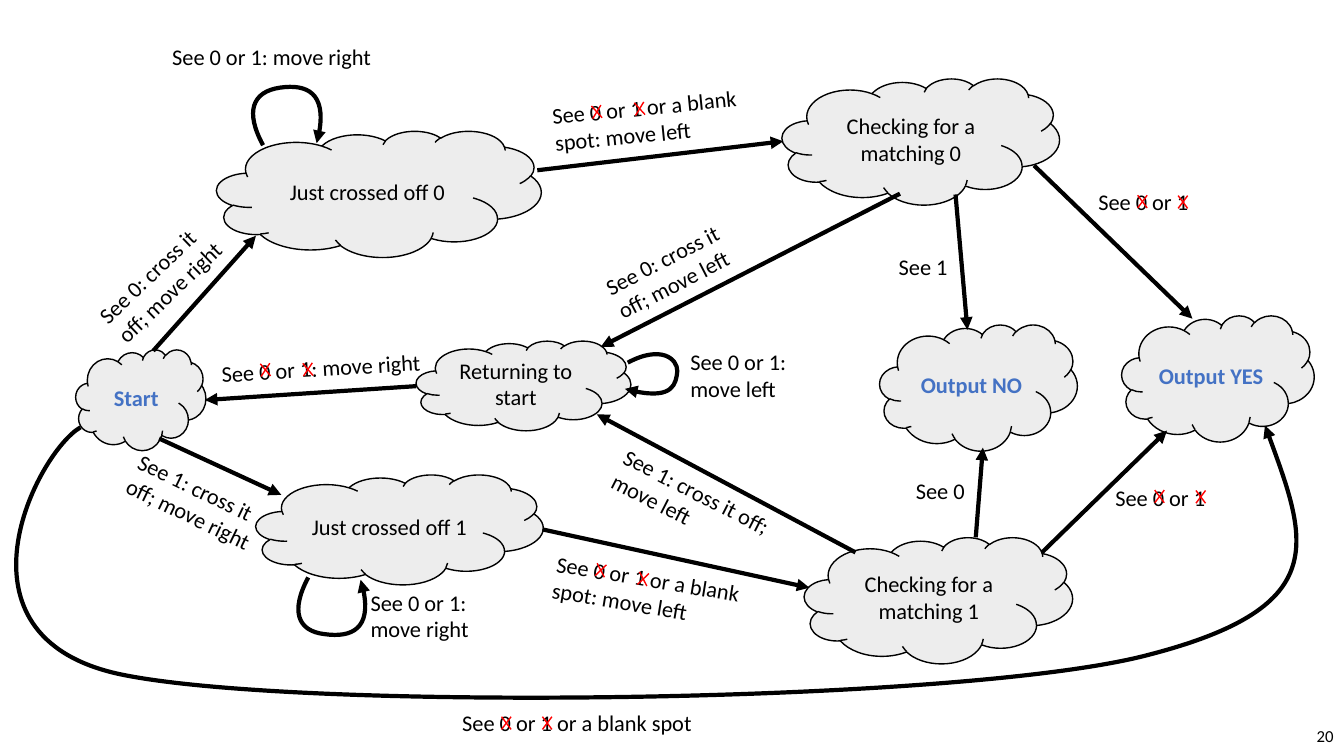
import math
from dataclasses import dataclass

from lxml import etree
from pptx import Presentation
from pptx import util as u
from pptx.dml.color import RGBColor
from pptx.enum import shapes, text
from pptx.oxml.ns import qn

Point = tuple[float, float]


@dataclass(frozen=True)
class Theme:
    font: str = "Calibri"
    ink: RGBColor = RGBColor(0, 0, 0)
    accent: RGBColor = RGBColor(0x44, 0x72, 0xC4)
    cloud: RGBColor = RGBColor(0xED, 0xED, 0xED)
    cross: RGBColor = RGBColor(0xFF, 0, 0)
    body_size: int = 16
    number_size: int = 12
    thin: int = 1
    thick: int = 3


@dataclass(frozen=True)
class State:
    name: str
    left: float
    top: float
    width: float
    height: float
    terminal: bool = False


@dataclass(frozen=True)
class Arrow:
    start: Point
    end: Point


@dataclass(frozen=True)
class Curve:
    points: tuple[Point, ...]


@dataclass(frozen=True)
class Label:
    words: str
    left: float
    top: float
    width: float
    height: float
    rotation: float = 0
    crosses: tuple[Point, ...] = ()


THEME = Theme()
ONE_LINE, TWO_LINES = 0.94, 1.63
CROSS_WIDTH, CROSS_HEIGHT = 0.24, 0.32
CURVE_STEPS = 40

STATES = [
    State("Just crossed off 0", 5.46, 3.3, 8.18, 3.18),
    State("Start", 1.91, 8.81, 3.28, 2.54, True),
    State("Just crossed off 1", 6.45, 11.96, 7.24, 2.77),
    State("Checking for a matching 0", 19.71, 1.98, 6.99, 3.18),
    State("Checking for a matching 1", 20.27, 13.54, 6.76, 3.18),
    State("Output NO", 22.17, 8.18, 4.98, 3.18, True),
    State("Returning to start", 10.49, 8.59, 5.41, 2.26),
    State("Output YES", 28.27, 7.95, 4.85, 3.18, True),
]

ARROWS = [
    Arrow((3.86, 8.84), (6.45, 5.94)),
    Arrow((4.01, 11.05), (7.09, 12.47)),
    Arrow((13.54, 4.29), (19.74, 3.56)),
    Arrow((13.67, 13.34), (20.4, 14.81)),
    Arrow((22.68, 4.88), (15.14, 8.74)),
    Arrow((21.56, 13.92), (15.04, 10.44)),
    Arrow((10.49, 9.73), (5.16, 10.08)),
    Arrow((24.08, 4.9), (24.38, 8.31)),
    Arrow((24.59, 13.54), (24.77, 11.28)),
    Arrow((26.06, 4.17), (30.05, 8.03)),
    Arrow((26.26, 13.92), (29.41, 10.85)),
]

CURVES = [
    Curve(((6.63, 3.66), (6.17, 2.82), (6.35, 2.31), (7.06, 2.21),
           (7.75, 2.11), (8.31, 2.41), (7.98, 3.61))),
    Curve(((7.77, 14.55), (7.32, 15.39), (7.49, 15.9), (8.18, 15.98),
           (8.89, 16.08), (9.45, 15.77), (9.09, 14.61))),
    Curve(((15.82, 9.14), (16.66, 8.69), (17.07, 9.04), (17.07, 9.35),
           (17.04, 9.68), (16.94, 10.13), (15.75, 9.8))),
    Curve(((2.03, 10.77), (0.94, 11.4), (-1.45, 16.03), (3.02, 16.99),
           (7.47, 17.93), (24, 17.73), (28.8, 16.54),
           (33.58, 15.34), (32.94, 13.59), (31.88, 10.72))),
]

LABELS = [
    Label("See 0: cross it\noff; move right", 1.91, 5.84, 5.23, TWO_LINES, 316.1),
    Label("See 1: cross it\noff; move right", 2.92, 11.99, 4.6, TWO_LINES, 25.8),
    Label("See 0 or 1: move right", 4.09, 0.97, 10.34, ONE_LINE),
    Label("See 0 or 1:\nmove right", 9.09, 14.71, 10.34, TWO_LINES),
    Label("See 0: cross it off; move left", 14.99, 5.87, 4.37, TWO_LINES, 332.7),
    Label("See 1: cross it off; move left", 15.14, 11.89, 4.55, TWO_LINES, 27),
    Label("See 0 or 1:\nmove left", 17.15, 8.66, 5.31, TWO_LINES),
    Label("See 0 or 1: move right", 5.33, 8.79, 6.02, ONE_LINE, 356.6,
          ((6.69, 9.32), (7.76, 9.31))),
    Label("See 1", 22.4, 6.25, 3.61, ONE_LINE),
    Label("See 0", 22.83, 11.91, 3.61, ONE_LINE),
    Label("See 0 or 1 or a blank\nspot: move left", 13.69, 2.16, 6.5, TWO_LINES, 354.3,
          ((15.04, 2.82), (16.12, 2.74))),
    Label("See 0 or 1", 27.43, 4.62, 4.8, ONE_LINE, 0, ((28.79, 5.08), (29.81, 5.09))),
    Label("See 0 or 1 or a blank\nspot: move left", 13.69, 14.22, 6.5, TWO_LINES, 9.5,
          ((15.14, 14.37), (16.21, 14.59))),
    Label("See 0 or 1 or a blank spot", 11.4, 17.75, 6.5, ONE_LINE, 0,
          ((12.76, 18.22), (13.79, 18.22))),
    Label("See 0 or 1", 27.86, 12.07, 4.8, ONE_LINE, 0, ((29.22, 12.51), (30.26, 12.52))),
]


def write(shape, words: str, size: int, color: RGBColor, alignment, bold: bool = False) -> None:
    shape.text_frame.word_wrap = True
    paragraph = shape.text_frame.paragraphs[0]
    paragraph.text = words
    paragraph.alignment = alignment
    for run in paragraph.runs:
        run.font.name = THEME.font
        run.font.size = u.Pt(size)
        run.font.bold = bold
        run.font.color.rgb = color


def style_line(shape, color: RGBColor, width: int, arrowhead: bool = False) -> None:
    shape.line.color.rgb = color
    shape.line.width = u.Pt(width)
    if arrowhead:
        line = shape._element.spPr.find(qn("a:ln"))
        etree.SubElement(line, qn("a:tailEnd"), type="triangle")


def draw_state(slide, state: State) -> None:
    shape = slide.shapes.add_shape(
        shapes.MSO_SHAPE.CLOUD, u.Cm(state.left), u.Cm(state.top), u.Cm(state.width), u.Cm(state.height))
    shape.shadow.inherit = False
    shape.fill.solid()
    shape.fill.fore_color.rgb = THEME.cloud
    style_line(shape, THEME.ink, THEME.thin)
    shape.text_frame.vertical_anchor = text.MSO_ANCHOR.MIDDLE
    color = THEME.accent if state.terminal else THEME.ink
    write(shape, state.name, THEME.body_size, color, text.PP_ALIGN.CENTER, state.terminal)


def draw_line(slide, start: Point, end: Point, color: RGBColor, width: int, arrowhead: bool = False) -> None:
    connector = slide.shapes.add_connector(
        shapes.MSO_CONNECTOR.STRAIGHT, *(u.Cm(value) for value in start + end))
    style_line(connector, color, width, arrowhead)
    etree.SubElement(connector._element.spPr, qn("a:effectLst"))


def bezier(controls: tuple[Point, ...], t: float) -> Point:
    weights = [math.comb(3, i) * t**i * (1 - t) ** (3 - i) for i in range(4)]
    x, y = (sum(w * p[axis] for w, p in zip(weights, controls)) for axis in (0, 1))
    return x, y


def draw_curve(slide, curve: Curve) -> None:
    points = curve.points
    outline = [bezier(points[i:i + 4], step / CURVE_STEPS)
               for i in range(0, len(points) - 1, 3) for step in range(1, CURVE_STEPS + 1)]
    builder = slide.shapes.build_freeform(u.Cm(points[0][0]), u.Cm(points[0][1]))
    builder.add_line_segments([(u.Cm(x), u.Cm(y)) for x, y in outline], close=False)
    shape = builder.convert_to_shape()
    outline_path = next(shape._element.iter(qn("a:path")))
    for segment in outline_path.findall(qn("a:lnTo")):
        outline_path.remove(segment)
    for i in range(1, len(points), 3):
        segment = etree.SubElement(outline_path, qn("a:cubicBezTo"))
        for x, y in points[i:i + 3]:
            etree.SubElement(segment, qn("a:pt"), x=str(u.Cm(x) - shape.left), y=str(u.Cm(y) - shape.top))
    shape.shadow.inherit = False
    shape.fill.background()
    style_line(shape, THEME.ink, THEME.thick, True)


def draw_cross(slide, center: Point, rotation: float) -> None:
    angle = math.radians(rotation)
    for side in (-1, 1):
        x, y = side * CROSS_WIDTH / 2, CROSS_HEIGHT / 2
        dx = x * math.cos(angle) - y * math.sin(angle)
        dy = x * math.sin(angle) + y * math.cos(angle)
        draw_line(slide, (center[0] - dx, center[1] - dy), (center[0] + dx, center[1] + dy),
                  THEME.cross, THEME.thin)


def draw_label(slide, label: Label) -> None:
    box = slide.shapes.add_textbox(u.Cm(label.left), u.Cm(label.top), u.Cm(label.width), u.Cm(label.height))
    box.rotation = label.rotation
    write(box, label.words, THEME.body_size, THEME.ink, text.PP_ALIGN.LEFT)
    box.text_frame.auto_size = text.MSO_AUTO_SIZE.SHAPE_TO_FIT_TEXT
    for center in label.crosses:
        draw_cross(slide, center, label.rotation)


def main() -> None:
    presentation = Presentation()
    presentation.slide_width, presentation.slide_height = u.Cm(33.87), u.Cm(19.05)
    slide = presentation.slides.add_slide(presentation.slide_layouts[6])
    number = slide.shapes.add_textbox(u.Cm(26.24), u.Cm(18.03), u.Cm(7.62), u.Cm(1.02))
    number.text_frame.vertical_anchor = text.MSO_ANCHOR.MIDDLE
    write(number, "20", THEME.number_size, THEME.ink, text.PP_ALIGN.RIGHT)
    for state in STATES:
        draw_state(slide, state)
    for arrow in ARROWS:
        draw_line(slide, arrow.start, arrow.end, THEME.ink, THEME.thick, True)
    for curve in CURVES:
        draw_curve(slide, curve)
    for label in LABELS:
        draw_label(slide, label)
    presentation.save("out.pptx")


if __name__ == "__main__":
    main()
